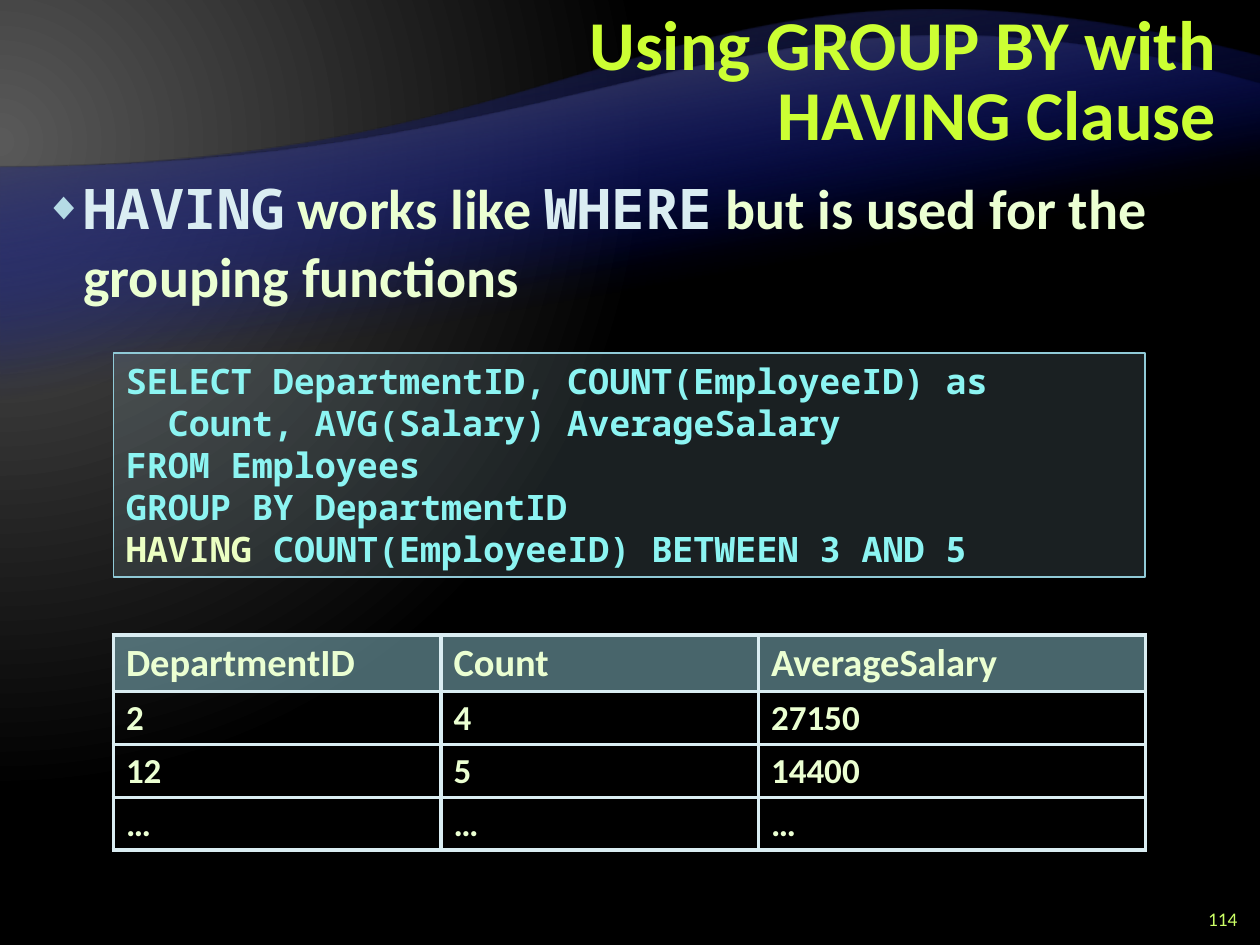
"""Build the slide on GROUP BY with a HAVING clause."""
import pptx
import pptx.util
import pptx.dml.color
import pptx.enum.shapes
import pptx.enum.text
import pptx.oxml
import pptx.oxml.ns

Inches, Pt = pptx.util.Inches, pptx.util.Pt
Align, Anchor = pptx.enum.text.PP_ALIGN, pptx.enum.text.MSO_ANCHOR
MONO, SANS = "Noto Sans Mono", "Calibri"
NS = pptx.oxml.ns.nsdecls("a", "p")


def tint(color, code, alpha=None):
    color.rgb = pptx.dml.color.RGBColor.from_string(code)
    if alpha is not None:
        node = color._xFill.find(".//" + pptx.oxml.ns.qn("a:srgbClr"))
        node.append(pptx.oxml.parse_xml(f'<a:alpha {NS} val="{alpha * 1000}"/>'))


def style(font, size, name, code, bold=True):
    font.size, font.name, font.bold = Pt(size), name, bold
    tint(font.color, code)


deck = pptx.Presentation()
deck.slide_width, deck.slide_height = Inches(10), Inches(7.5)
slide = deck.slides.add_slide(deck.slide_layouts[1])
shapes = slide.shapes
tree = shapes._spTree
tree.addprevious(pptx.oxml.parse_xml(
    f'<p:bg {NS}><p:bgPr><a:gradFill rotWithShape="1"><a:gsLst>'
    '<a:gs pos="0"><a:srgbClr val="595959"/></a:gs>'
    '<a:gs pos="83000"><a:srgbClr val="000000"/></a:gs></a:gsLst>'
    '<a:path path="circle"><a:fillToRect l="20000" t="30000" r="135000" b="100000"/>'
    '</a:path></a:gradFill><a:effectLst/></p:bgPr></p:bg>'))

waves = [(45, 653, (534, -75), "262626"), (67, 557, (598, -49), "595959")]
for rank, (top, base, bend, code) in enumerate(waves):
    pen = shapes.build_freeform(1000, base, scale=9144)
    pen.add_line_segments([(0, base), (0, 133), (1000, top)], close=True)
    wave = pen.convert_to_shape()
    wave.shadow.inherit = False
    wave.line.fill.background()
    edge = wave._element.findall(".//" + pptx.oxml.ns.qn("a:lnTo"))[2]
    knots = [(500, 133), bend, (1000, top)]
    dots = "".join(f'<a:pt x="{x}" y="{y - top}"/>' for x, y in knots)
    edge.getparent().replace(edge, pptx.oxml.parse_xml(
        f'<a:cubicBezTo {NS}>{dots}</a:cubicBezTo>'))
    wave._element.spPr.find(pptx.oxml.ns.qn("a:custGeom")).addnext(pptx.oxml.parse_xml(
        f'<a:gradFill {NS} rotWithShape="1"><a:gsLst>'
        '<a:gs pos="65000"><a:srgbClr val="000D9E"><a:alpha val="0"/></a:srgbClr></a:gs>'
        f'<a:gs pos="100000"><a:srgbClr val="{code}"/></a:gs></a:gsLst>'
        f'<a:lin ang="{260 * 60000}" scaled="0"/></a:gradFill>'))
    tree.insert(2 + rank, wave._element)

title, body = shapes.title, slide.placeholders[1]
boxes = [(title, 3.67, 0.17, 6.08, 1), (body, 0.25, 1.33, 9.5, 6)]
for box, *place in boxes:
    box.left, box.top, box.width, box.height = map(Inches, place)
    box.text_frame.auto_size = pptx.enum.text.MSO_AUTO_SIZE.NONE

title.text_frame.text = "Using GROUP BY with HAVING Clause"
title.text_frame.vertical_anchor = Anchor.MIDDLE
para = title.text_frame.paragraphs[0]
para.alignment, para.line_spacing = Align.RIGHT, Pt(40)
style(para.font, 40, SANS, "CCFF33")

para = body.text_frame.paragraphs[0]
para.space_before, para.space_after = Pt(0), Pt(6)
props = para._p.get_or_add_pPr()
props.set("marL", str(Inches(0.31)))
props.set("indent", str(-Inches(0.31)))
for mark in ('<a:buClr {}><a:srgbClr val="B5DBE5"/></a:buClr>',
             '<a:buSzPct {} val="70000"/>', '<a:buChar {} char="◆"/>'):
    props.append(pptx.oxml.parse_xml(mark.format(NS)))
for text, name, code in [("HAVING", MONO, "DAEDF2"), (" works like ", SANS, "EBFFD2"),
                         ("WHERE", MONO, "DAEDF2"),
                         (" but is used for the grouping functions", SANS, "EBFFD2")]:
    run = para.add_run()
    run.text = text
    style(run.font, 32, name, code)

page = shapes.add_textbox(*map(Inches, (9.42, 7.17, 0.5, 0.25))).text_frame
page.word_wrap, page.vertical_anchor = True, Anchor.MIDDLE
page.text = "114"
page.paragraphs[0].alignment = Align.RIGHT
style(page.paragraphs[0].font, 11, SANS, "CCFF66", False)

code = shapes.add_shape(pptx.enum.shapes.MSO_SHAPE.RECTANGLE,
                        *map(Inches, (0.9, 2.8, 8.19, 1.78)))
code.shadow.inherit = False
code.fill.solid()
tint(code.fill.fore_color, "B5DBE5", 15)
tint(code.line.color, "90CAD7")
code.line.width = Pt(1)
frame = code.text_frame
frame.vertical_anchor = Anchor.TOP
frame.text = """SELECT DepartmentID, COUNT(EmployeeID) as
  Count, AVG(Salary) AverageSalary
FROM Employees
GROUP BY DepartmentID
HAVING """
for para in frame.paragraphs:
    para.alignment = Align.LEFT
    style(para.font, 20, MONO, "8CF4F2")
tint(para.runs[0].font.color, "EBFFC2")
para.add_run().text = "COUNT(EmployeeID) BETWEEN 3 AND 5"

data = [("DepartmentID", "Count", "AverageSalary"),
        ("2", "4", "27150"), ("12", "5", "14400"), ("…", "…", "…")]
table = shapes.add_table(4, 3, *map(Inches, (0.9, 5.04, 8.19, 1.7))).table
table.first_row = table.horz_banding = False
for col, width in zip(table.columns, (2.6, 2.52, 3.07)):
    col.width = Inches(width)
for r, row in enumerate(data):
    table.rows[r].height = Inches(0.42 if r else 0.44)
    for c, text in enumerate(row):
        cell = table.cell(r, c)
        cell.text = text
        para = cell.text_frame.paragraphs[0]
        para.line_spacing = 0.95
        style(para.font, 20 if r else 22, SANS, "EBFFD2")
        for side in "LRTB":
            cell._tc.get_or_add_tcPr().append(pptx.oxml.parse_xml(
                f'<a:ln{side} {NS} w="{Pt(2.25)}"><a:solidFill>'
                f'<a:srgbClr val="DAEDF2"/></a:solidFill></a:ln{side}>'))
        if r:
            cell.fill.background()
        else:
            cell.fill.solid()
            tint(cell.fill.fore_color, "90CAD7", 50)

deck.save("out.pptx")
